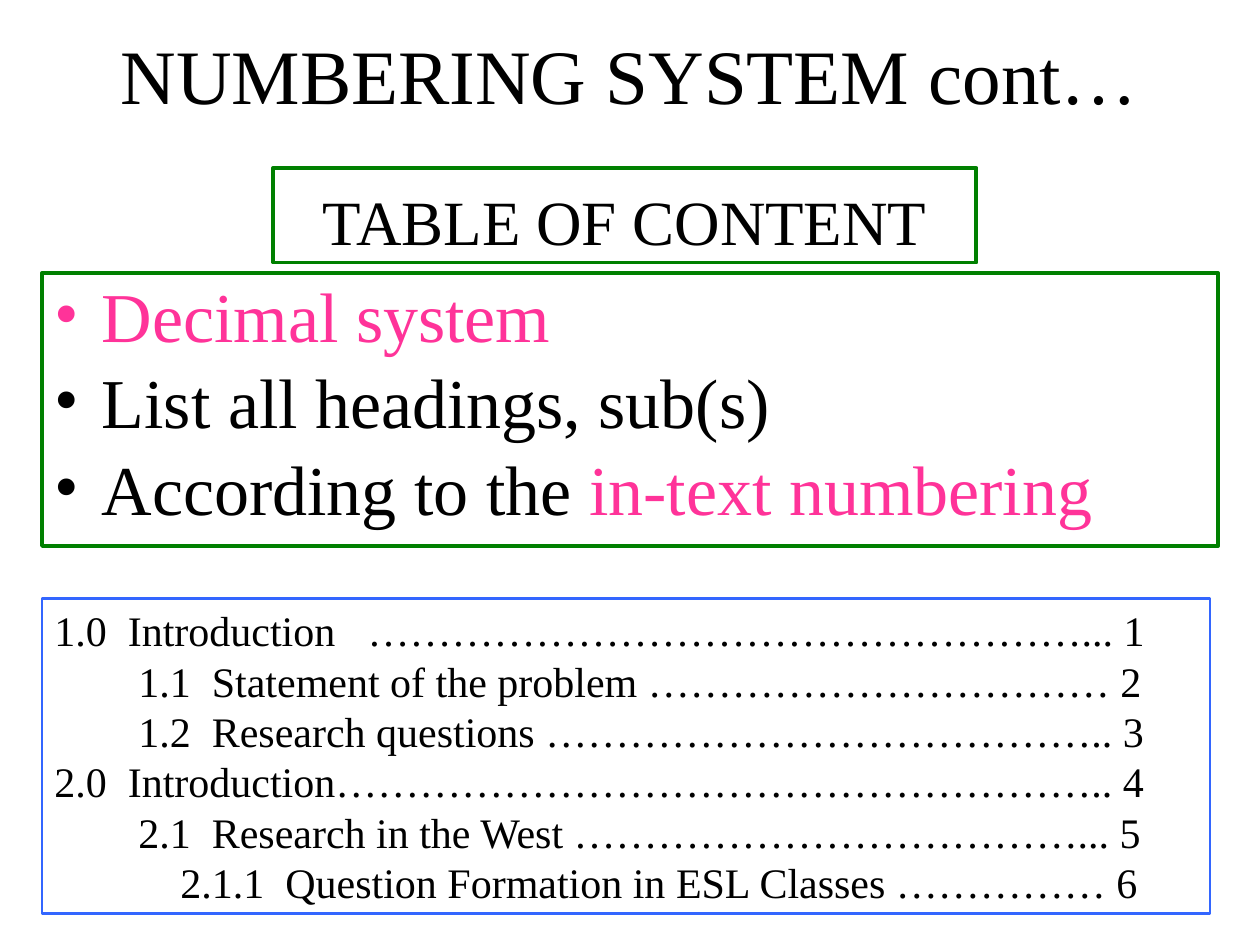
import pptx
import pptx.util
import pptx.dml.color
import pptx.enum.shapes
import pptx.enum.text
import pptx.oxml.ns
import lxml.etree

Pt = pptx.util.Pt
RGB = pptx.dml.color.RGBColor
ALIGN = pptx.enum.text.PP_ALIGN
ANCHOR = pptx.enum.text.MSO_ANCHOR

BLACK = RGB(0x00, 0x00, 0x00)
PINK = RGB(0xFF, 0x33, 0x99)
GREEN = RGB(0x00, 0x80, 0x00)
BLUE = RGB(0x33, 0x66, 0xFF)
FONT = "Times New Roman"

POINTS = [
    [("Decimal system", PINK)],
    [("List all headings, sub(s)", BLACK)],
    [("According to the ", BLACK), ("in-text numbering", PINK)],
]
ENTRIES = [
    ("1.0\tIntroduction\t……………………………………………... 1", (42, 179)),
    ("\t1.1\tStatement of the problem …………………………… 2", (48, 90)),
    ("\t1.2\tResearch questions ………………………………….. 3", (48, 90)),
    ("2.0\tIntroduction……………………………………………….. 4", (42,)),
    ("\t2.1\tResearch in the West ………………………………... 5", (48, 90)),
    ("\t2.1.1\tQuestion Formation in ESL Classes …………… 6", (72, 132)),
]


def add_tag(parent, tag, **attrs):
    node = lxml.etree.SubElement(parent, pptx.oxml.ns.qn(tag))
    for name, value in attrs.items():
        node.set(name, str(value))
    return node


def add_text(para, text, size=24, color=BLACK):
    run = para.add_run()
    run.text = text
    run.font.name = FONT
    run.font.size = Pt(size)
    run.font.color.rgb = color


def place(shape, box):
    shape.left, shape.top, shape.width, shape.height = [Pt(n) for n in box]


def set_frame(shape, top=3.6, anchor=ANCHOR.TOP):
    frame = shape.text_frame
    frame.word_wrap = True
    frame.auto_size = pptx.enum.text.MSO_AUTO_SIZE.NONE
    frame.vertical_anchor = anchor
    frame.margin_left = frame.margin_right = Pt(7.2)
    frame.margin_top, frame.margin_bottom = Pt(top), Pt(3.6)
    return frame


def set_line(shape, color, width):
    shape.line.color.rgb = color
    shape.line.width = Pt(width)


def get_paras(frame, count):
    return [frame.paragraphs[0]] + [frame.add_paragraph() for _ in range(count - 1)]


def fill_title(shape, box):
    place(shape, box)
    para = set_frame(shape, anchor=ANCHOR.MIDDLE).paragraphs[0]
    para.alignment = ALIGN.CENTER
    add_text(para, "NUMBERING SYSTEM cont…", size=44)


def fill_label(shape, box):
    place(shape, box)
    set_line(shape, GREEN, 2.25)
    para = set_frame(shape, top=8).paragraphs[0]
    para.alignment = ALIGN.CENTER
    para.space_before = Pt(0)
    props = para._p.get_or_add_pPr()
    props.set("marL", "0")
    props.set("indent", "0")
    add_tag(props, "a:buNone")
    add_text(para, "TABLE OF CONTENT", size=36)


def fill_list(shape, box):
    place(shape, box)
    set_line(shape, GREEN, 2.25)
    paras = get_paras(set_frame(shape, top=9), len(POINTS))
    for row, (para, parts) in enumerate(zip(paras, POINTS)):
        para.line_spacing = 0.8
        para.space_before = Pt(11 if row else 0)
        props = para._p.get_or_add_pPr()
        props.set("marL", str(Pt(27)))
        props.set("indent", str(Pt(-27)))
        add_tag(add_tag(props, "a:buClr"), "a:srgbClr", val=parts[0][1])
        add_tag(props, "a:buFont", typeface=FONT)
        add_tag(props, "a:buChar", char="•")
        for text, color in parts:
            add_text(para, text, size=40, color=color)


def add_index(slide, box):
    rect = pptx.enum.shapes.MSO_SHAPE.RECTANGLE
    shape = slide.shapes.add_shape(rect, *[Pt(n) for n in box])
    shape.shadow.inherit = False
    shape.fill.background()
    set_line(shape, BLUE, 1.5)
    paras = get_paras(set_frame(shape), len(ENTRIES))
    for para, (text, stops) in zip(paras, ENTRIES):
        para.alignment = ALIGN.LEFT
        tabs = add_tag(para._p.get_or_add_pPr(), "a:tabLst")
        for stop in stops:
            add_tag(tabs, "a:tab", pos=Pt(stop), algn="l")
        add_text(para, text)


def main():
    deck = pptx.Presentation()
    deck.slide_width, deck.slide_height = Pt(720), Pt(540)
    slide = deck.slides.add_slide(deck.slide_layouts[3])
    for extra in list(slide.placeholders)[3:]:
        extra.element.getparent().remove(extra.element)
    title, label, points = slide.placeholders
    fill_title(title, (54, 12, 612, 60))
    fill_label(label, (156, 96, 402, 54))
    fill_list(points, (24, 156, 672, 156))
    add_index(slide, (24, 342, 667.5, 180))
    deck.save("out.pptx")


if __name__ == "__main__":
    main()
